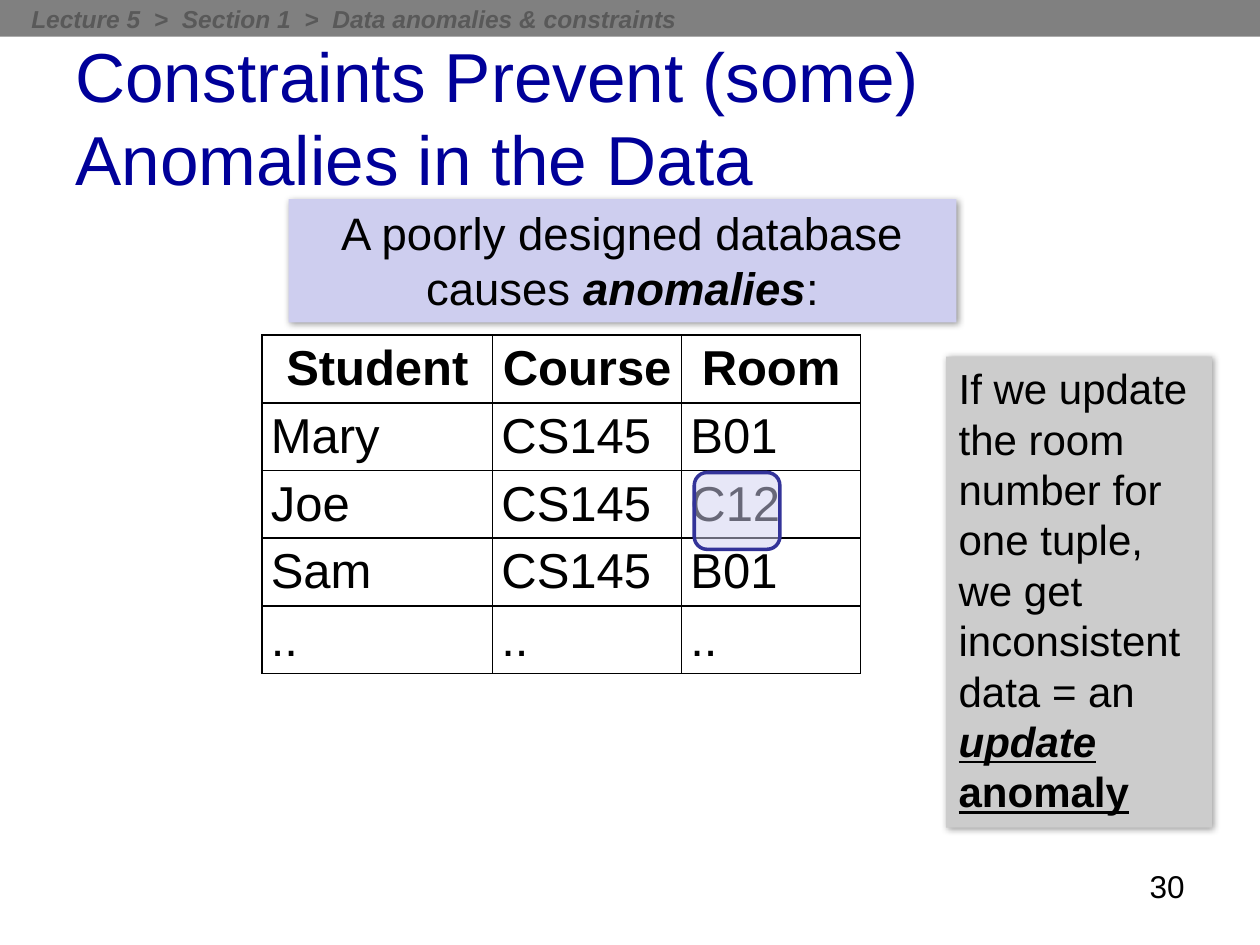
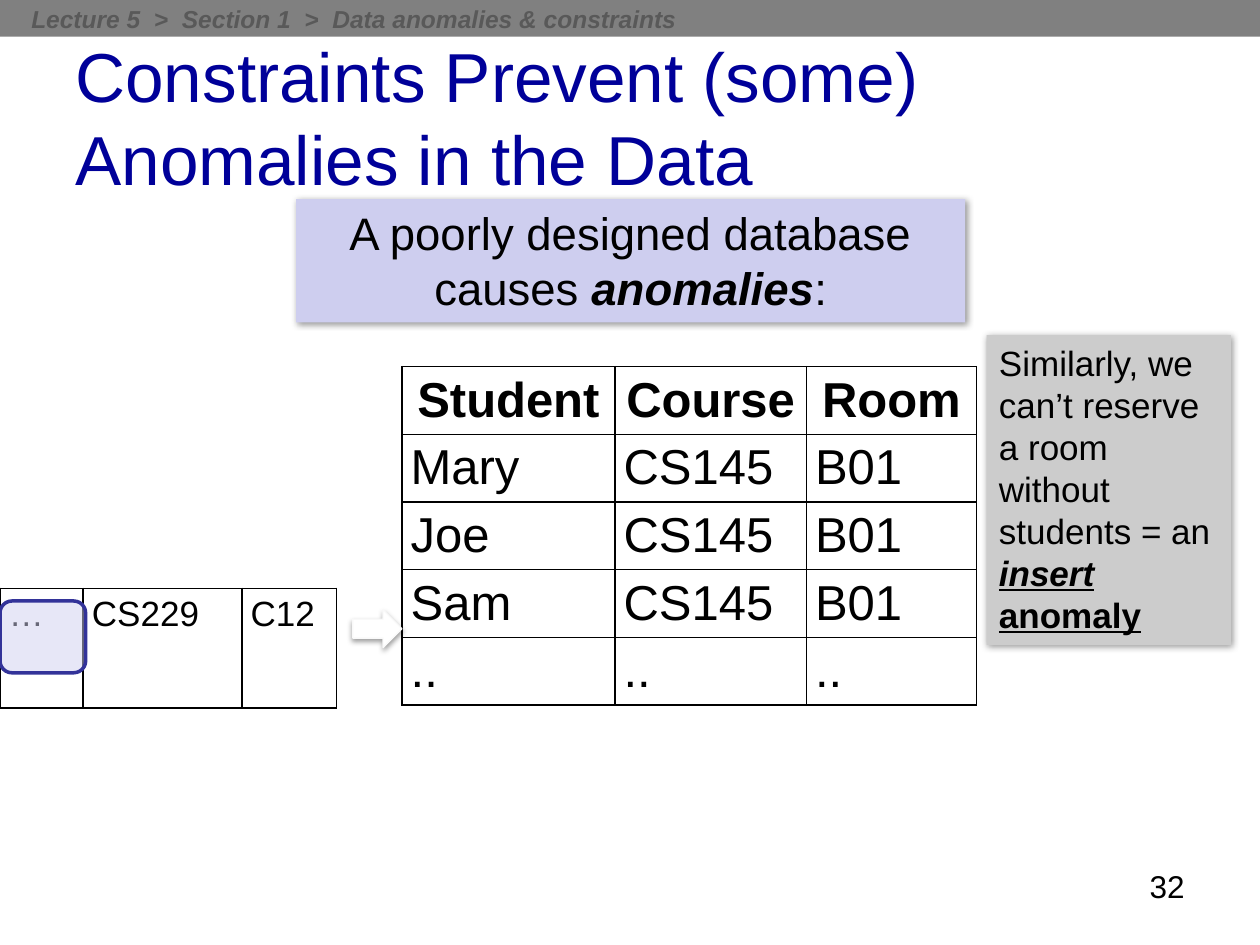
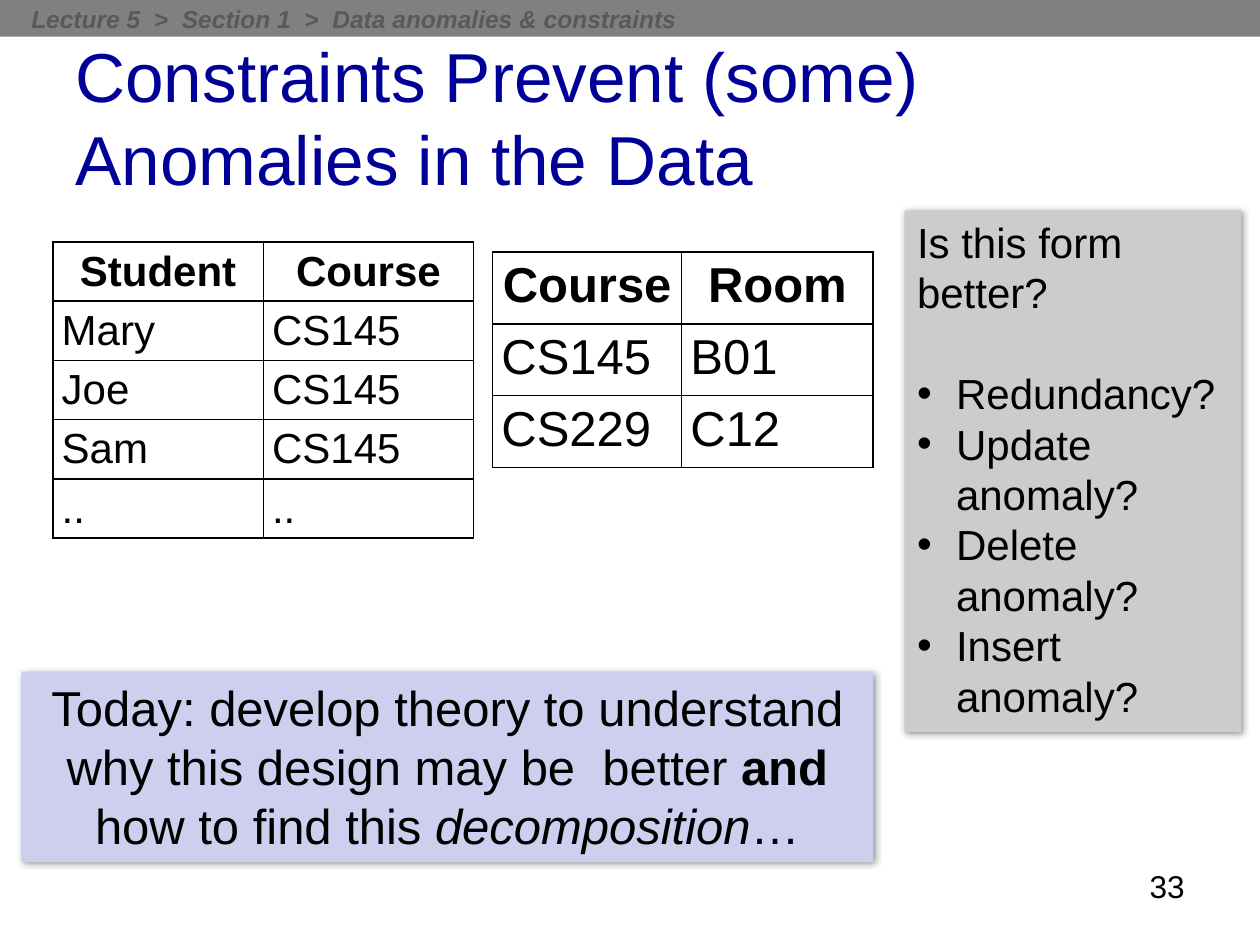
from itertools import repeat

from lxml.etree import SubElement
from pptx import Presentation
from pptx.dml.color import RGBColor
from pptx.enum.shapes import MSO_SHAPE
from pptx.enum.text import MSO_ANCHOR, PP_ALIGN
from pptx.oxml.ns import qn
from pptx.util import Pt

PX = 9144  # 100 px to the inch
FONT = "Arial"
BLACK, NAVY, BAND, BAND_TEXT = "000000", "000099", "808080", "595959"
GREY, LILAC, HIGHLIGHT, HIGHLIGHT_LINE = "CCCCCC", "CECEEF", "D1D1F0", "333399"
WHITE, ARROW_LINE = "FFFFFF", "F9F9F9"
LEFT, CENTER, RIGHT = PP_ALIGN.LEFT, PP_ALIGN.CENTER, PP_ALIGN.RIGHT
PANEL_SHADOW = (40, 4, 1, 45)  # opacity %, blur pt, distance pt, degrees
ARROW_SHADOW = (38, 3.1, 1.6, 90)
color = RGBColor.from_string


def write(frame, paragraphs, size, ink=BLACK, align=LEFT, style=""):
    """Each paragraph is a string or a list of (text, style); style holds b, i, u."""
    for index, content in enumerate(paragraphs):
        para = frame.add_paragraph() if index else frame.paragraphs[0]
        para.alignment = align
        if isinstance(content, str):
            para.text = content
            styles = repeat(style)
        else:
            for text, _ in content:
                para.add_run().text = text
            styles = [marks for _, marks in content]
        for span, marks in zip(para.runs, styles):
            span.font.name = FONT
            span.font.size = Pt(size)
            span.font.color.rgb = color(ink)
            span.font.bold = "b" in marks
            span.font.italic = "i" in marks
            span.font.underline = "u" in marks


def add_block(shapes, kind, at, fill, line=None, width=1, shadow=None):
    block = shapes.add_shape(kind, *[n * PX for n in at])
    block.fill.solid()
    block.fill.fore_color.rgb = color(fill)
    if line:
        block.line.color.rgb = color(line)
        block.line.width = Pt(width)
    else:
        block.line.fill.background()
    block.shadow.inherit = False
    if shadow:
        opacity, blur, distance, angle = shadow
        effects = block._element.spPr.find(qn("a:effectLst"))
        outer = SubElement(effects, qn("a:outerShdw"), blurRad=str(Pt(blur)),
                           dist=str(Pt(distance)), dir=str(angle * 60000),
                           algn="tl", rotWithShape="0")
        tint = SubElement(outer, qn("a:srgbClr"), val=BLACK)
        SubElement(tint, qn("a:alpha"), val=str(opacity * 1000))
    return block


# Content shared between slides
HEADINGS = ["Student", "Course", "Room"]
ENROLMENT = [HEADINGS, ["Mary", "CS145", "B01"], ["Joe", "CS145", "B01"],
             ["Sam", "CS145", "B01"], ["..", "..", ".."]]
UPDATED = [row[:] for row in ENROLMENT]
UPDATED[2][2] = "C12"
STUDENT_COURSE = [row[:2] for row in ENROLMENT]
COURSE_ROOM = [HEADINGS[1:], ["CS145", "B01"], ["CS229", "C12"]]
POOR_DESIGN = [[("A poorly designed database causes ", ""),
                ("anomalies", "bi"), (":", "")]]

# Tables: left, top, column widths, row height, text size, rows
# Panels: position, fill, text size, alignment, paragraphs
slides = [
    {
        "number": "30",
        "tables": [(208, 266, [183, 150, 142], 41, 28, UPDATED)],
        "panels": [
            ((751, 283, 211, 374), GREY, 24, LEFT,
             [[("If we update the room number for one tuple, we get "
                "inconsistent data = an ", ""),
               ("update", "biu"), (" anomaly", "bu")]]),
            ((229, 158, 530, 98), LILAC, 26, CENTER, POOR_DESIGN),
        ],
        "highlight": (551, 375, 68, 61),
    },
    {
        "number": "32",
        "tables": [(319, 291, [169, 152, 135], 41, 28, ENROLMENT),
                   (0, 467, [66, 126, 75], 95, 20, [["…", "CS229", "C12"]])],
        "panels": [
            ((783, 266, 194, 246), GREY, 20, LEFT,
             [[("Similarly, we can’t reserve a room without students = an ", ""),
               ("insert ", "biu"), ("anomaly", "bu")]]),
            ((235, 158, 531, 98), LILAC, 26, CENTER, POOR_DESIGN),
        ],
        "arrow": (280, 484, 39, 30),
        "highlight": (0, 477, 68, 57),
    },
    {
        "number": "33",
        "tables": [(42, 192, [167, 167], 41, 24, STUDENT_COURSE),
                   (391, 200, [150, 152], 57, 28, COURSE_ROOM)],
        "panels": [
            ((17, 533, 676, 151), LILAC, 28, CENTER,
             [[("Today: develop theory to understand why this design may be"
                "  better ", ""), ("and", "b"), (" how to find this ", ""),
               ("decomposition", "i"), ("…", "")]]),
            ((718, 167, 267, 414), GREY, 24, LEFT,
             ["Is this form better?", "Redundancy?", "Update anomaly?",
              "Delete anomaly?", "Insert anomaly?"]),
        ],
    },
]

deck = Presentation()
deck.slide_width, deck.slide_height = 1000 * PX, 750 * PX

for slide in slides:
    page = deck.slides.add_slide(deck.slide_layouts[6])

    # Title
    title = page.shapes.add_textbox(50 * PX, 30 * PX, 900 * PX, 125 * PX).text_frame
    title.word_wrap = True
    title.vertical_anchor = MSO_ANCHOR.MIDDLE
    write(title, ["Constraints Prevent (some) \vAnomalies in the Data"], 39.6, NAVY)

    # Tables with thin black borders and a bold heading row
    for left, top, widths, height, size, rows in slide["tables"]:
        table = page.shapes.add_table(
            len(rows), len(widths), left * PX, top * PX,
            sum(widths) * PX, len(rows) * height * PX).table
        table.first_row = table.horz_banding = False
        for column, width in zip(table.columns, widths):
            column.width = width * PX
        for row_index, row in enumerate(rows):
            heading = row_index == 0 and len(rows) > 1
            for column_index, text in enumerate(row):
                cell = table.cell(row_index, column_index)
                cell.margin_left = cell.margin_right = 7 * PX
                cell.margin_top, cell.margin_bottom = 5 * PX, 2 * PX
                write(cell.text_frame, [text], size, align=CENTER if heading else LEFT,
                      style="b" if heading else "")
                properties = cell._tc.get_or_add_tcPr()
                for side in ("a:lnL", "a:lnR", "a:lnT", "a:lnB"):
                    border = SubElement(properties, qn(side), w=str(Pt(1)))
                    ink = SubElement(border, qn("a:solidFill"))
                    SubElement(ink, qn("a:srgbClr"), val=BLACK)
                cell.fill.background()

    # Text panels
    for at, fill, size, align, paragraphs in slide["panels"]:
        panel = add_block(page.shapes, MSO_SHAPE.RECTANGLE, at, fill,
                          shadow=PANEL_SHADOW).text_frame
        panel.word_wrap = True
        panel.vertical_anchor = MSO_ANCHOR.TOP
        write(panel, paragraphs, size, align=align)
        bullets = panel.paragraphs[1:]
        for para in bullets:
            properties = para._p.get_or_add_pPr()
            properties.set("marL", str(31 * PX))
            properties.set("indent", str(-31 * PX))
            SubElement(properties, qn("a:buFont"), typeface=FONT)
            SubElement(properties, qn("a:buChar"), char="•")
        if bullets:
            bullets[0].space_before = Pt(28.8)

    # Insert arrow and see-through highlight
    if "arrow" in slide:
        add_block(page.shapes, MSO_SHAPE.RIGHT_ARROW, slide["arrow"], WHITE,
                  ARROW_LINE, 0.75, ARROW_SHADOW)
    if "highlight" in slide:
        highlight = add_block(page.shapes, MSO_SHAPE.ROUNDED_RECTANGLE,
                              slide["highlight"], HIGHLIGHT, HIGHLIGHT_LINE, 2)
        tint = highlight._element.spPr.find(qn("a:solidFill"))[0]
        SubElement(tint, qn("a:alpha"), val="50000")

    # Breadcrumb band
    band = page.shapes.add_group_shape().shapes
    add_block(band, MSO_SHAPE.RECTANGLE, (0, 0, 1000, 29), BAND)
    trail = band.add_textbox(15 * PX, -2 * PX, 534 * PX, 34 * PX).text_frame
    trail.word_wrap = False
    write(trail, ["Lecture 5  >  Section 1  >  Data anomalies & constraints"],
          14, BAND_TEXT, style="bi")

    # Slide number
    number = page.shapes.add_textbox(717 * PX, 683 * PX, 233 * PX, 52 * PX).text_frame
    number.word_wrap = True
    write(number, [slide["number"]], 18, align=RIGHT)

deck.save("out.pptx")
